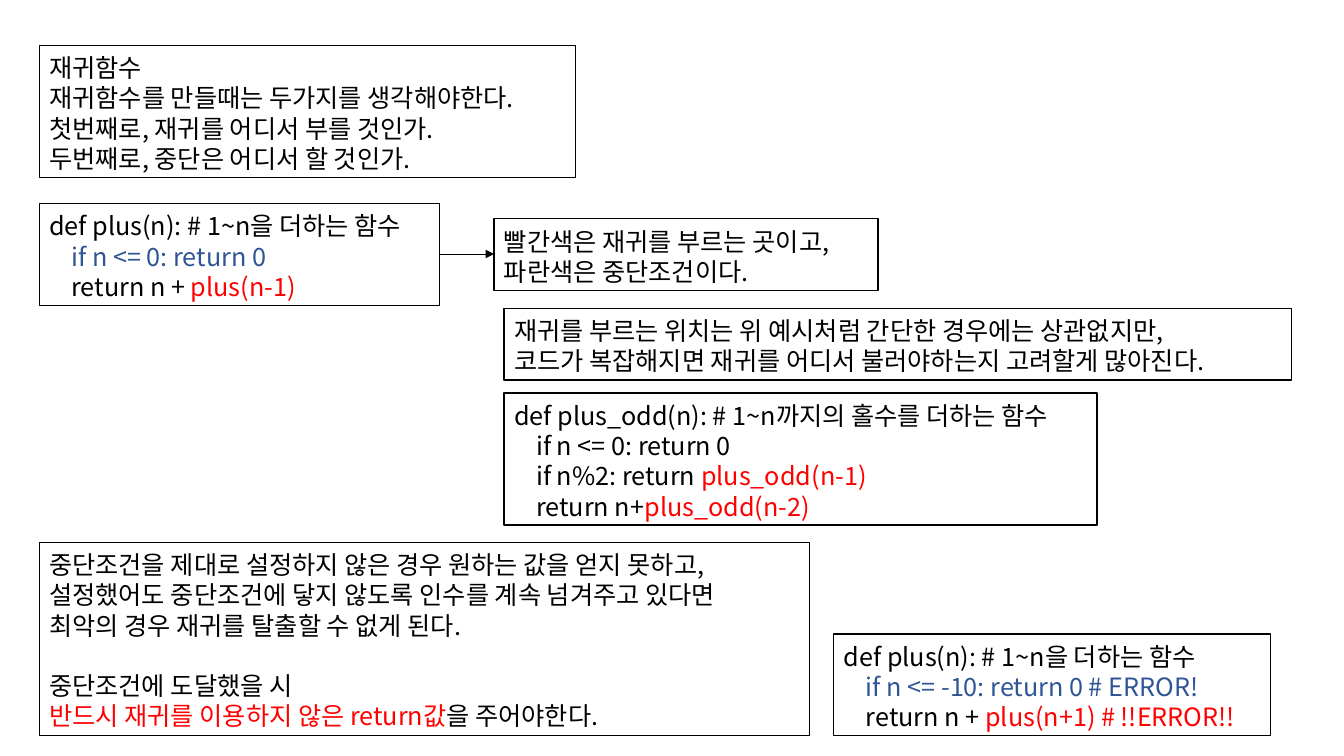
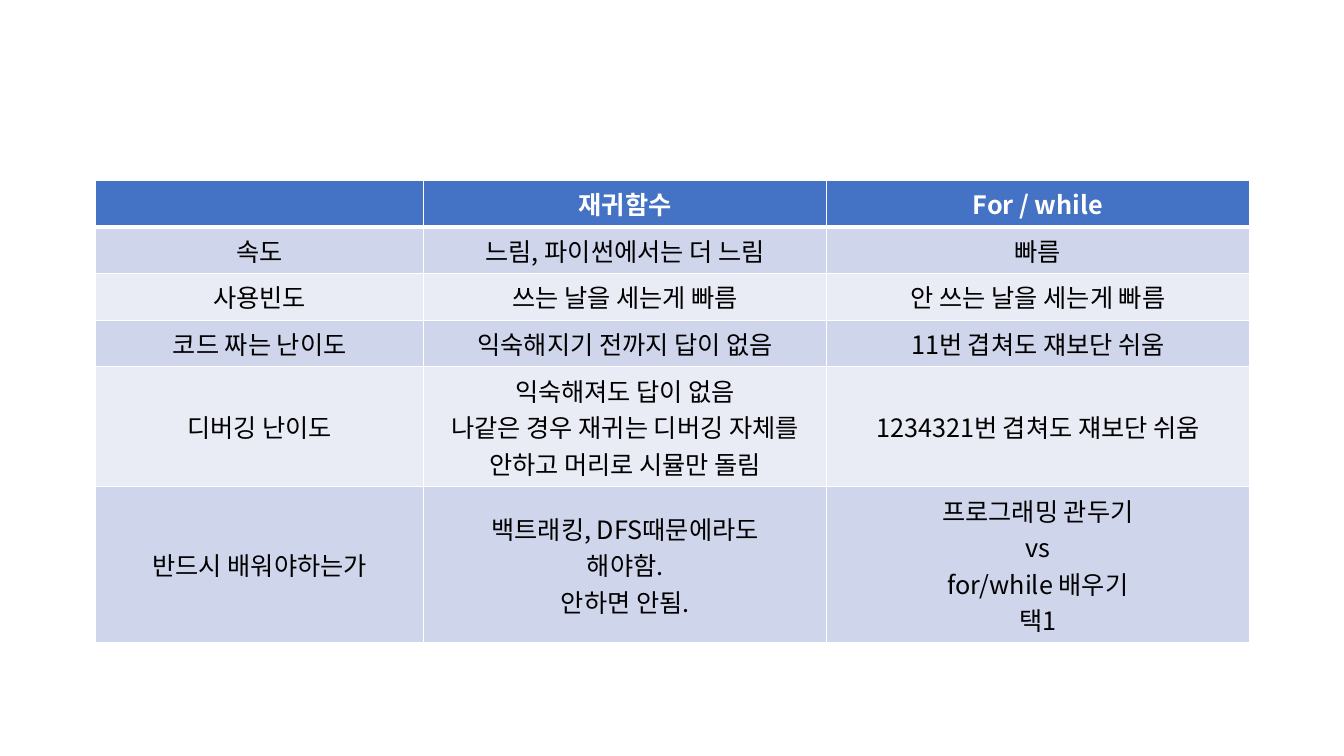
from dataclasses import dataclass

from lxml.etree import SubElement
from pptx import Presentation
from pptx.dml.color import RGBColor
from pptx.enum.shapes import MSO_CONNECTOR, MSO_SHAPE
from pptx.enum.text import MSO_ANCHOR, PP_ALIGN
from pptx.oxml import parse_xml
from pptx.oxml.ns import nsdecls, qn
from pptx.util import Inches, Pt

COLORS = {
    "black": "000000",
    "white": "FFFFFF",
    "blue": "2F5597",
    "red": "FF0000",
    "header": "4472C4",
    "band_dark": "CFD5EA",
    "band_light": "E9EBF5",
}
FONT = "Noto Sans CJK KR"
LINE_PITCH = Pt(21.6)
CODE_INDENT = Inches(0.22)


@dataclass
class Line:
    runs: list
    indent: int = 0
    before: int = 0


def text(*runs, before=0):
    return Line(runs, before=before)


def code(*runs):
    return Line(runs, indent=CODE_INDENT)


def rgb(name):
    return RGBColor.from_string(COLORS[name])


def add_text(paragraph, content, color="black", size=18, bold=False):
    run = paragraph.add_run()
    run.text = content
    run.font.name = FONT
    run.font.size = Pt(size)
    run.font.bold = bold
    run.font.color.rgb = rgb(color)
    SubElement(run.font._element, qn("a:ea"), typeface=FONT)


def paragraphs(frame, lines):
    for index, line in enumerate(lines):
        yield (frame.add_paragraph() if index else frame.paragraphs[0]), line


class Deck:
    def __init__(self):
        self.presentation = Presentation()
        self.presentation.slide_width = Inches(13.33)
        self.presentation.slide_height = Inches(7.5)
        self.slide = None

    def add_slide(self):
        blank = self.presentation.slide_layouts[6]
        self.slide = self.presentation.slides.add_slide(blank)

    def box(self, left, top, width, height, *lines):
        shape = self.slide.shapes.add_shape(
            MSO_SHAPE.RECTANGLE, Inches(left), Inches(top), Inches(width), Inches(height))
        shape.shadow.inherit = False
        shape.fill.solid()
        shape.fill.fore_color.rgb = rgb("white")
        shape.line.color.rgb = rgb("black")
        shape.line.width = Pt(1)
        frame = shape.text_frame
        frame.word_wrap = True
        frame.vertical_anchor = MSO_ANCHOR.TOP
        frame.margin_top = Inches(0.07)
        frame.margin_bottom = 0
        for paragraph, line in paragraphs(frame, lines):
            paragraph.alignment = PP_ALIGN.LEFT
            paragraph.line_spacing = LINE_PITCH
            paragraph.space_before = line.before
            paragraph._p.get_or_add_pPr().set("marL", str(line.indent))
            for run in line.runs:
                content, color = (run, "black") if isinstance(run, str) else run
                add_text(paragraph, content, color=color)

    def arrow(self, start, end):
        connector = self.slide.shapes.add_connector(
            MSO_CONNECTOR.STRAIGHT, *(Inches(value) for value in (*start, *end)))
        connector.line.color.rgb = rgb("black")
        connector.line.width = Pt(0.5)
        SubElement(connector.line._get_or_add_ln(), qn("a:tailEnd"), type="triangle")
        SubElement(connector._element.spPr, qn("a:effectLst"))

    def table(self, left, top, widths, heights, rows):
        table = self.slide.shapes.add_table(
            len(rows), len(widths), Inches(left), Inches(top),
            Inches(sum(widths)), Inches(sum(heights))).table
        for column, width in zip(table.columns, widths):
            column.width = Inches(width)
        for index, (row, height, contents) in enumerate(zip(table.rows, heights, rows)):
            row.height = Inches(height)
            for cell, content in zip(row.cells, contents):
                self.cell(cell, index, content)

    def cell(self, cell, row, content):
        header = row == 0
        band = "band_dark" if row % 2 else "band_light"
        cell.fill.solid()
        cell.fill.fore_color.rgb = rgb("header" if header else band)
        cell.vertical_anchor = MSO_ANCHOR.MIDDLE
        borders = {"L": 1, "R": 1, "T": 3 if row == 1 else 1, "B": 3 if header else 1}
        for position, (side, width) in enumerate(borders.items()):
            border = parse_xml(
                f'<a:ln{side} {nsdecls("a")} w="{Pt(width)}"><a:solidFill>'
                f'<a:srgbClr val="{COLORS["white"]}"/></a:solidFill></a:ln{side}>')
            cell._tc.get_or_add_tcPr().insert(position, border)
        if not content:
            return
        for paragraph, line in paragraphs(cell.text_frame, content.split("\n")):
            paragraph.alignment = PP_ALIGN.CENTER
            add_text(paragraph, line, color="white" if header else "black", bold=header)


def build_recursion(deck):
    deck.add_slide()
    margin, example = 0.39, 5
    plus_header = text("def plus(n): # 1~n을 더하는 함수")
    deck.box(margin, 0.45, 5.32, 1.31,
             text("재귀함수"),
             text("재귀함수를 만들때는 두가지를 생각해야한다."),
             text("첫번째로, 재귀를 어디서 부를 것인가."),
             text("두번째로, 중단은 어디서 할 것인가."))
    deck.box(margin, 2.02, 3.97, 1.01,
             plus_header,
             code(("if n <= 0: return 0", "blue")),
             code("return n + ", ("plus(n-1)", "red")))
    deck.box(4.9, 2.17, 3.81, 0.71,
             text("빨간색은 재귀를 부르는 곳이고,"),
             text("파란색은 중단조건이다."))
    deck.arrow((4.36, 2.52), (4.9, 2.52))
    deck.box(example, 3.06, 7.81, 0.71,
             text("재귀를 부르는 위치는 위 예시처럼 간단한 경우에는 상관없지만,"),
             text("코드가 복잡해지면 재귀를 어디서 불러야하는지 고려할게 많아진다."))
    deck.box(example, 3.9, 5.88, 1.31,
             text("def plus_odd(n): # 1~n까지의 홀수를 더하는 함수"),
             code("if n <= 0: return 0"),
             code("if n%2: return ", ("plus_odd(n-1)", "red")),
             code("return n+", ("plus_odd(n-2)", "red")))
    deck.box(margin, 5.38, 7.64, 1.92,
             text("중단조건을 제대로 설정하지 않은 경우 원하는 값을 얻지 못하고,"),
             text("설정했어도 중단조건에 닿지 않도록 인수를 계속 넘겨주고 있다면"),
             text("최악의 경우 재귀를 탈출할 수 없게 된다."),
             text("중단조건에 도달했을 시", before=LINE_PITCH),
             text(("반드시 재귀를 이용하지 않은 return값", "red"), "을 주어야한다."))
    deck.box(8.27, 6.29, 4.33, 1.01,
             plus_header,
             code(("if n <= -10: return 0 # ERROR!", "blue")),
             code("return n + ", ("plus(n+1) # !!ERROR!!", "red")))


def build_comparison(deck):
    deck.add_slide()
    rows = [
        ("", "재귀함수", "For / while"),
        ("속도", "느림, 파이썬에서는 더 느림", "빠름"),
        ("사용빈도", "쓰는 날을 세는게 빠름", "안 쓰는 날을 세는게 빠름"),
        ("코드 짜는 난이도", "익숙해지기 전까지 답이 없음", "11번 겹쳐도 쟤보단 쉬움"),
        ("디버깅 난이도",
         "익숙해져도 답이 없음\n나같은 경우 재귀는 디버깅 자체를 안하고 머리로 시뮬만 돌림",
         "1234321번 겹쳐도 쟤보단 쉬움"),
        ("반드시 배워야하는가",
         "백트래킹, DFS때문에라도\n해야함.\n안하면 안됨.",
         "프로그래밍 관두기\nvs\nfor/while 배우기\n택1"),
    ]
    deck.table(0.95, 1.79, (3.25, 4, 4.19), (0.46,) * 4 + (1.19, 1.54), rows)


def main():
    deck = Deck()
    build_recursion(deck)
    build_comparison(deck)
    deck.presentation.save("out.pptx")


if __name__ == "__main__":
    main()
